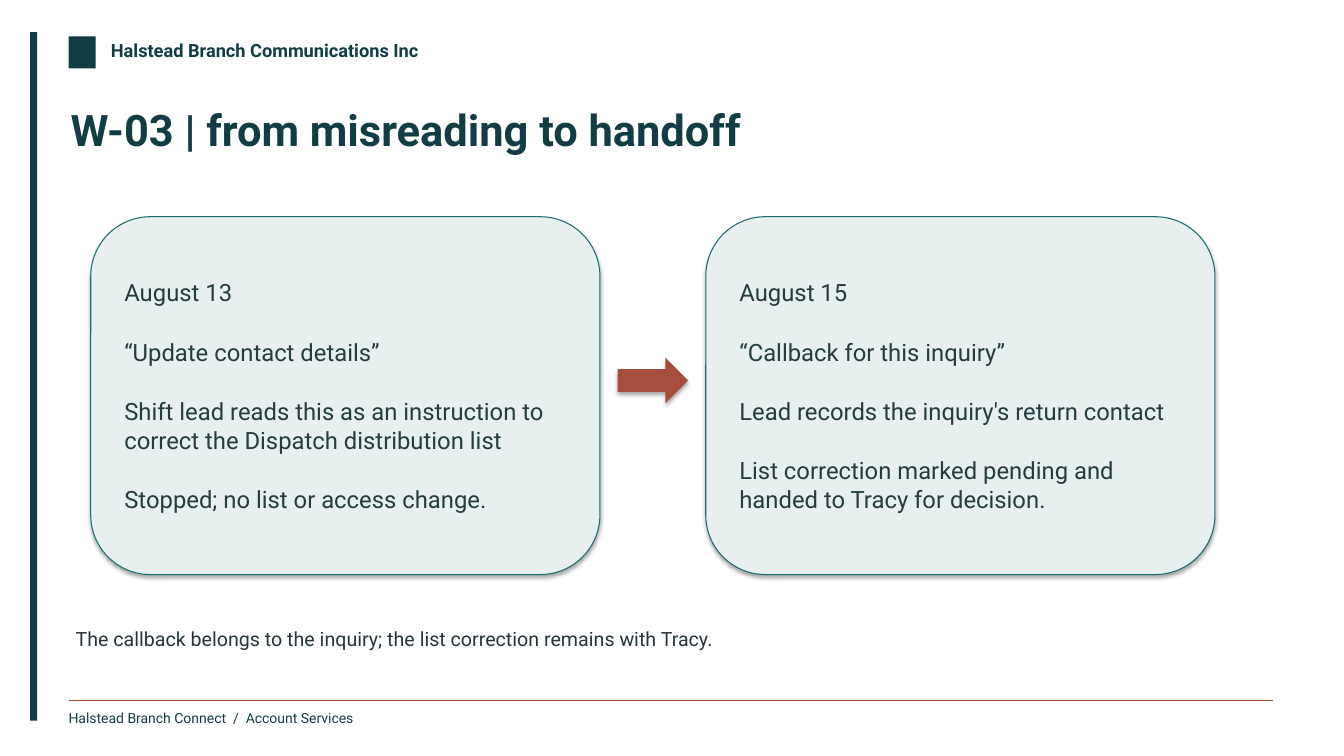
from dataclasses import dataclass

from lxml.etree import SubElement
from pptx import Presentation
from pptx.dml.color import RGBColor
from pptx.enum.shapes import MSO_CONNECTOR, MSO_SHAPE
from pptx.enum.text import MSO_ANCHOR, MSO_AUTO_SIZE, PP_ALIGN
from pptx.oxml.ns import qn
from pptx.util import Inches, Pt

UNIT = 0.1  # grid step in inches, used for columns and rows
COLUMNS, ROWS = 133.3, 75


@dataclass(frozen=True)
class Theme:
    font: str = "Roboto"
    deep_teal: str = "133D45"
    edge_teal: str = "176D70"
    pale_teal: str = "E7F0EF"
    card_ink: str = "253C40"
    note_ink: str = "26353B"
    rust: str = "AF5636"
    brick: str = "A54E3D"
    title: int = 31
    card: int = 17
    note: int = 14
    brand: int = 13
    footer: int = 10
    card_gap: int = 22
    hairline: float = 0.75


THEME = Theme()


@dataclass(frozen=True)
class Box:
    """A rectangle in grid columns and rows."""
    left: float
    top: float
    width: float
    height: float

    def inner(self, left, top, width, height):
        """A box placed relative to this one's top left corner."""
        return Box(self.left + left, self.top + top, width, height)

    def emu(self):
        return [Inches(n * UNIT) for n in (self.left, self.top, self.width, self.height)]


def colour(code):
    return RGBColor.from_string(code)


def write(shape, *paragraphs, size, ink, bold=False, gap=0,
          anchor=MSO_ANCHOR.TOP, wrap=True, inset=(0, 0)):
    frame = shape.text_frame
    frame.word_wrap = wrap
    frame.auto_size = MSO_AUTO_SIZE.NONE
    frame.vertical_anchor = anchor
    frame.margin_left = frame.margin_right = Inches(inset[0])
    frame.margin_top = frame.margin_bottom = Inches(inset[1])
    for index, words in enumerate(paragraphs):
        paragraph = frame.add_paragraph() if index else frame.paragraphs[0]
        paragraph.text = words
        paragraph.alignment = PP_ALIGN.LEFT
        paragraph.space_before = Pt(gap if index else 0)
        font = paragraph.font
        font.name, font.size, font.bold = THEME.font, Pt(size), bold
        font.color.rgb = colour(ink)


def add_text(slide, box, words, **style):
    write(slide.shapes.add_textbox(*box.emu()), words, **style)


def add_block(slide, box, fill, preset=MSO_SHAPE.RECTANGLE, edge=None, shadow=False):
    block = slide.shapes.add_shape(preset, *box.emu())
    block.shadow.inherit = False
    block.fill.solid()
    block.fill.fore_color.rgb = colour(fill)
    if edge:
        block.line.color.rgb = colour(edge)
        block.line.width = Pt(THEME.hairline)
    else:
        block.line.fill.background()
    if shadow:
        cast_shadow(block)
    return block


def cast_shadow(block):
    """Fill the block's effect list with a soft downward shadow."""
    effects = block.element.spPr.find(qn("a:effectLst"))
    outer = SubElement(effects, qn("a:outerShdw"), blurRad=str(Pt(3.1)),
                       dist=str(Pt(1.8)), dir="5400000", rotWithShape="0")
    black = SubElement(outer, qn("a:srgbClr"), val="000000")
    SubElement(black, qn("a:alpha"), val="35000")


def header(slide, box):
    """Plain brand mark and company name."""
    add_block(slide, box.inner(0, 0, 2.7, box.height), THEME.deep_teal)
    add_text(slide, box.inner(4.2, 0.3, 35.5, 2.7), "Halstead Branch Communications Inc",
             size=THEME.brand, ink=THEME.deep_teal, bold=True, wrap=False)


def title(slide, box, words):
    heading = slide.shapes.title
    heading.left, heading.top, heading.width, heading.height = box.emu()
    write(heading, words, size=THEME.title, ink=THEME.deep_teal, bold=True)


def handoff_flow(slide, box, cards):
    """Two cards at the sides of the box with a block arrow between them."""
    card_width, arrow_width, arrow_height = 50.5, 7, 4.5
    step = box.width - card_width
    for index, lines in enumerate(cards):
        card = add_block(slide, box.inner(index * step, 0, card_width, box.height),
                         THEME.pale_teal, MSO_SHAPE.ROUNDED_RECTANGLE,
                         edge=THEME.edge_teal, shadow=True)
        write(card, *lines, size=THEME.card, ink=THEME.card_ink, gap=THEME.card_gap,
              anchor=MSO_ANCHOR.MIDDLE, inset=(0.16, 0.05))
    arrow = box.inner((box.width - arrow_width) / 2, 14, arrow_width, arrow_height)
    add_block(slide, arrow, THEME.brick, MSO_SHAPE.RIGHT_ARROW, shadow=True)


def footer(slide, box):
    left, top, width, _ = box.emu()
    rule = slide.shapes.add_connector(MSO_CONNECTOR.STRAIGHT, left, top, left + width, top)
    rule.line.color.rgb = colour(THEME.rust)
    rule.line.width = Pt(THEME.hairline)
    SubElement(rule.element.spPr, qn("a:effectLst"))
    add_text(slide, box.inner(0, 0.9, 26, 2.3), "Halstead Branch Connect  /  Account Services",
             size=THEME.footer, ink=THEME.deep_teal, wrap=False)


def handoff_slide(deck):
    slide = deck.slides.add_slide(deck.slide_layouts[5])
    page = Box(0, 0, COLUMNS, ROWS)
    add_block(slide, page.inner(3, 3.2, 0.7, 68.3), THEME.deep_teal)
    header(slide, page.inner(6.8, 3.6, 119.5, 3.2))
    title(slide, page.inner(7, 10.2, 119, 8.6), "W-03 | from misreading to handoff")
    handoff_flow(slide, page.inner(9, 21.5, 111.5, 35.5), [
        ("August 13",
         "“Update contact details”",
         "Shift lead reads this as an instruction to correct the Dispatch distribution list",
         "Stopped; no list or access change."),
        ("August 15",
         "“Callback for this inquiry”",
         "Lead records the inquiry's return contact",
         "List correction marked pending and handed to Tracy for decision."),
    ])
    add_text(slide, page.inner(7.5, 62.2, 118.2, 4.4),
             "The callback belongs to the inquiry; the list correction remains with Tracy.",
             size=THEME.note, ink=THEME.note_ink)
    footer(slide, page.inner(6.8, 69.45, 119.5, 3.2))


def main():
    deck = Presentation()
    deck.slide_width = Inches(COLUMNS * UNIT)
    deck.slide_height = Inches(ROWS * UNIT)
    handoff_slide(deck)
    deck.save("out.pptx")


if __name__ == "__main__":
    main()
